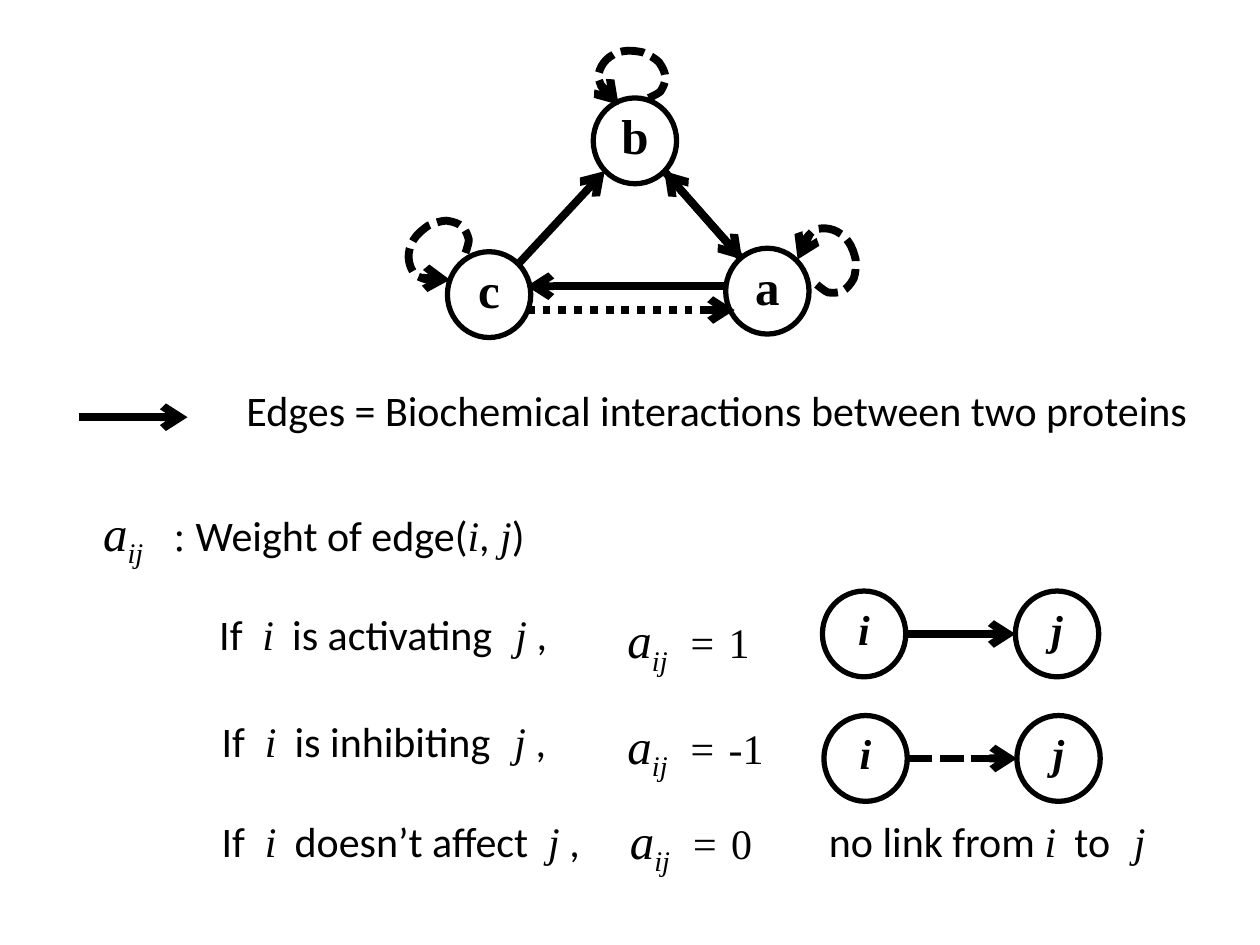
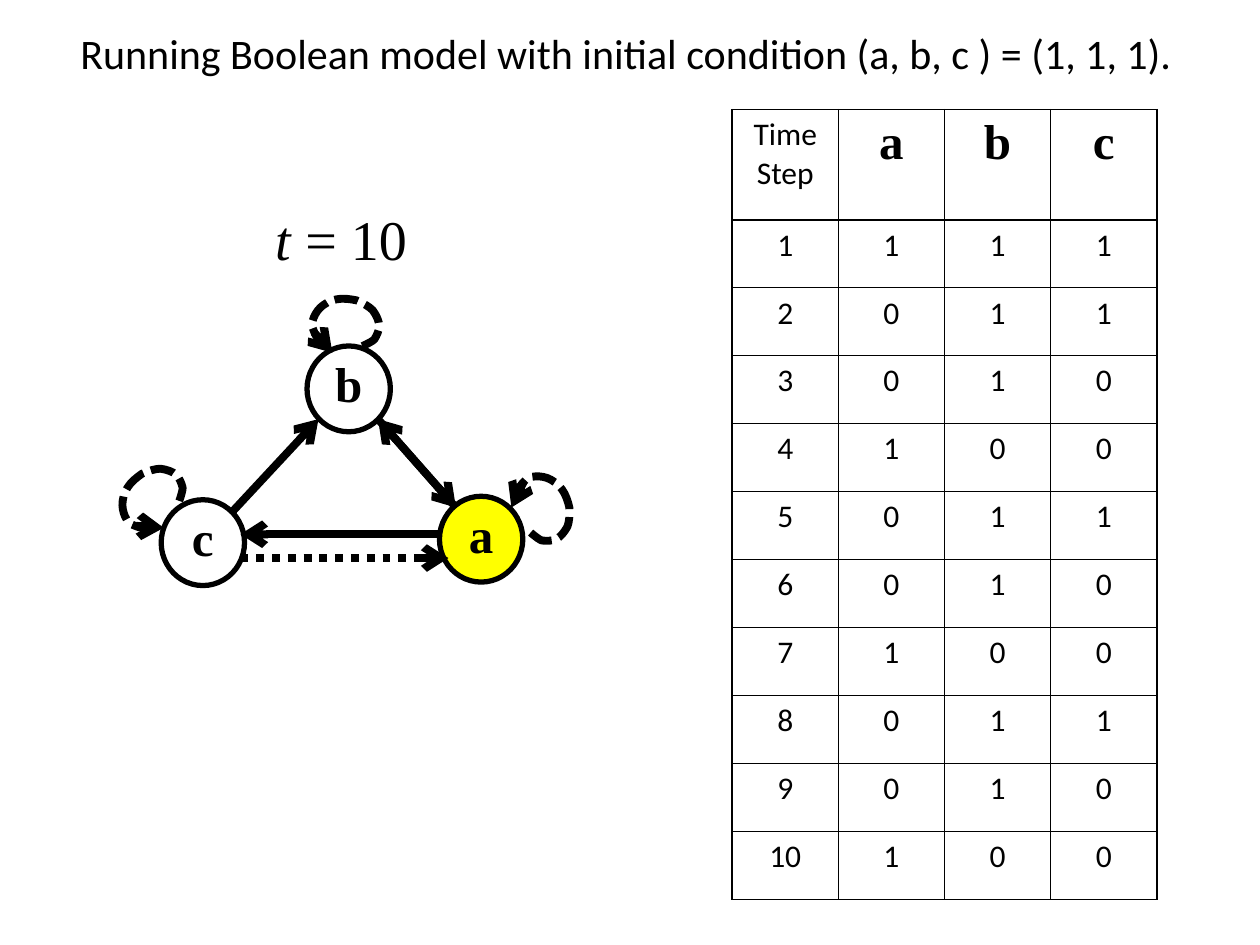
"""Build two slides on a three-protein Boolean network: edge weights and a model run."""
from dataclasses import dataclass
from typing import NamedTuple, Optional

import pptx
import pptx.dml.color
import pptx.enum.dml
import pptx.enum.shapes
import pptx.enum.text
import pptx.oxml
import pptx.oxml.ns
import pptx.util

Cm = pptx.util.Cm
Pt = pptx.util.Pt
Dash = pptx.enum.dml.MSO_LINE
qn = pptx.oxml.ns.qn


@dataclass(frozen=True)
class Theme:
    ink: str = "000000"
    active: str = "FFFF00"
    sans: str = "Calibri"
    serif: str = "Times New Roman"
    cell: int = 18
    body: int = 24
    symbol: int = 28
    clock: int = 32
    node_line: float = 3
    edge_line: float = 4.5
    grid_line: float = 1


THEME = Theme()


class Run(NamedTuple):
    text: str
    serif: bool = False
    italic: bool = False
    size: int = THEME.body
    bold: bool = False
    sub: bool = False


class Node(NamedTuple):
    label: str
    x: float
    y: float


class Edge(NamedTuple):
    x1: float
    y1: float
    x2: float
    y2: float
    dash: Optional[Dash] = None


class Loop(NamedTuple):
    x: float
    y: float
    angle: float


class Case(NamedTuple):
    verb: str
    value: str
    x: float
    y: float
    j_tab: float
    weight_x: float
    weight_y: float


class Pair(NamedTuple):
    x: float
    y: float
    dash: Optional[Dash] = None


NODE_W, NODE_H = 1.68, 1.73
NODES = [Node("a", 15.47, 5.87), Node("b", 12.8, 2.84), Node("c", 9.86, 5.94)]
EDGES = [
    Edge(14.66, 5.77, 10.62, 5.77),
    Edge(14.96, 5.23, 13.39, 3.45),
    Edge(13.39, 3.45, 14.96, 5.23),
    Edge(10.62, 6.25, 14.81, 6.25, Dash.ROUND_DOT),
    Edge(10.44, 5.33, 12.19, 3.45),
    Edge(16.26, 4.85, 16.08, 5.23),
    Edge(12.19, 1.8, 12.47, 2.11),
    Edge(8.64, 5.61, 9.07, 5.64),
]
LOOPS = [Loop(16.75, 5.22, 64.6), Loop(12.73, 1.5, 0), Loop(8.8, 5.02, 313.4)]
LOOP_W, LOOP_H = 1.37, 0.99
LOOP_START = (0.33, 0.97)
LOOP_CURVES = [
    [(0.25, 0.91), (0.18, 0.86), (0.13, 0.81)],
    [(0.08, 0.76), (0.05, 0.66), (0.03, 0.61)],
    [(0.03, 0.53), (0, 0.51), (0.03, 0.46)],
    [(0.05, 0.38), (0.1, 0.28), (0.18, 0.2)],
    [(0.25, 0.13), (0.38, 0.05), (0.51, 0.03)],
    [(0.64, 0), (0.81, 0.03), (0.91, 0.05)],
    [(1.04, 0.1), (1.17, 0.18), (1.24, 0.25)],
    [(1.32, 0.36), (1.37, 0.48), (1.37, 0.56)],
    [(1.37, 0.66), (1.32, 0.76), (1.27, 0.84)],
    [(1.19, 0.91), (0.99, 0.99), (0.99, 0.99)],
]
CASES = [
    Case("is activating", "1", 4.17, 12.14, 5.97, 12.4, 12.17),
    Case("is inhibiting", "-1", 4.22, 14.3, 5.9, 12.4, 14.3),
    Case("doesn’t affect", "0", 4.22, 16.31, 6.58, 12.45, 16.21),
]
PAIRS = [Pair(17.42, 12.78), Pair(17.45, 15.29, Dash.SQUARE_DOT)]
PAIR_GAP = 3.89
STATES = ["111"] + ["011", "010", "100"] * 3


def rgb(value: str) -> pptx.dml.color.RGBColor:
    return pptx.dml.color.RGBColor.from_string(value)


def style_run(r, run: Run) -> None:
    font = r.font
    font.name = THEME.serif if run.serif else THEME.sans
    font.size = Pt(run.size)
    font.bold = run.bold
    font.italic = run.italic
    font.color.rgb = rgb(THEME.ink)
    if run.sub:
        r._r.get_or_add_rPr().set("baseline", "-25000")


def style_line(line, width: float, dash: Optional[Dash] = None) -> None:
    line.color.rgb = rgb(THEME.ink)
    line.width = Pt(width)
    if dash is not None:
        line.dash_style = dash


def math(text: str, **options) -> Run:
    return Run(text, serif=True, italic=True, **options)


def add_text(s, x: float, y: float, w: float, runs: list[Run], tabs: tuple = ()) -> None:
    sp = s.shapes.add_textbox(Cm(x), Cm(y), Cm(w), Cm(1.27))
    tf = sp.text_frame
    tf.word_wrap = True
    p = tf.paragraphs[0]
    if tabs:
        stops = pptx.oxml.ns.nsdecls("a")
        tab_list = pptx.oxml.parse_xml(f"<a:tabLst {stops}/>")
        for stop in tabs:
            tab = tab_list.makeelement(qn("a:tab"), {"pos": str(Cm(stop)), "algn": "l"})
            tab_list.append(tab)
        p._p.get_or_add_pPr().append(tab_list)
    for run in runs:
        r = p.add_run()
        r.text = run.text
        style_run(r, run)


def add_node(s, node: Node, run: Run, fill: Optional[str] = None) -> None:
    sp = s.shapes.add_shape(
        pptx.enum.shapes.MSO_SHAPE.OVAL,
        Cm(node.x - NODE_W / 2), Cm(node.y - NODE_H / 2), Cm(NODE_W), Cm(NODE_H))
    sp.shadow.inherit = False
    if fill:
        sp.fill.solid()
        sp.fill.fore_color.rgb = rgb(fill)
    else:
        sp.fill.background()
    style_line(sp.line, THEME.node_line)
    tf = sp.text_frame
    tf.margin_left = tf.margin_right = tf.margin_top = 0
    tf.margin_bottom = Cm(0.23)
    tf.word_wrap = False
    tf.vertical_anchor = pptx.enum.text.MSO_ANCHOR.MIDDLE
    tf.text = node.label
    p = tf.paragraphs[0]
    p.alignment = pptx.enum.text.PP_ALIGN.CENTER
    style_run(p.runs[0], run)


def add_edge(s, edge: Edge) -> None:
    sp = s.shapes.add_connector(
        pptx.enum.shapes.MSO_CONNECTOR.STRAIGHT,
        Cm(edge.x1), Cm(edge.y1), Cm(edge.x2), Cm(edge.y2))
    style_line(sp.line, THEME.edge_line, edge.dash)
    ln = sp.line._get_or_add_ln()
    ln.append(ln.makeelement(qn("a:tailEnd"), {"type": "arrow"}))
    props = sp._element.spPr
    props.append(props.makeelement(qn("a:effectLst"), {}))


def add_loop(s, loop: Loop) -> None:
    left, top = loop.x - LOOP_W / 2, loop.y - LOOP_H / 2

    def place(point: tuple) -> tuple:
        return Cm(left + point[0]), Cm(top + point[1])

    builder = s.shapes.build_freeform(*place(LOOP_START))
    builder.add_line_segments(
        [place(point) for curve in LOOP_CURVES for point in curve], close=False)
    sp = builder.convert_to_shape()
    segments = list(sp._element.iter(qn("a:lnTo")))
    for i in range(0, len(segments), 3):
        outline = segments[i].getparent()
        curve = outline.makeelement(qn("a:cubicBezTo"), {})
        outline.insert(outline.index(segments[i]), curve)
        for segment in segments[i:i + 3]:
            curve.append(segment[0])
            outline.remove(segment)
    sp.rotation = loop.angle
    sp.shadow.inherit = False
    sp.fill.background()
    style_line(sp.line, THEME.edge_line, Dash.SQUARE_DOT)


def add_network(s, dx: float = 0, dy: float = 0, active: str = "") -> None:
    for node in NODES:
        label = Run(node.label, serif=True, size=THEME.symbol, bold=True)
        fill = THEME.active if node.label in active else None
        add_node(s, Node(node.label, node.x + dx, node.y + dy), label, fill)
    for loop in LOOPS:
        add_loop(s, Loop(loop.x + dx, loop.y + dy, loop.angle))
    for edge in EDGES:
        add_edge(s, Edge(edge.x1 + dx, edge.y1 + dy, edge.x2 + dx, edge.y2 + dy, edge.dash))


def add_state_table(s) -> None:
    rows = [["Time Step", "a", "b", "c"]]
    rows += [[str(step), *state] for step, state in enumerate(STATES, 1)]
    col_w, head_h, row_h = 2.14, 2.22, 1.37
    table = s.shapes.add_table(
        len(rows), 4, Cm(14.76), Cm(2.21), Cm(4 * col_w),
        Cm(head_h + row_h * len(STATES))).table
    table.first_row = table.horz_banding = False
    for column in table.columns:
        column.width = Cm(col_w)
    for i, values in enumerate(rows):
        table.rows[i].height = Cm(row_h if i else head_h)
        for j, value in enumerate(values):
            cell = table.cell(i, j)
            add_borders(cell)
            cell.fill.background()
            cell.text = value
            p = cell.text_frame.paragraphs[0]
            p.alignment = pptx.enum.text.PP_ALIGN.CENTER
            symbol = i == 0 and j > 0
            size = THEME.symbol if symbol else THEME.cell
            style_run(p.runs[0], Run(value, serif=symbol, size=size, bold=symbol))


def add_borders(cell) -> None:
    props = cell._tc.get_or_add_tcPr()
    for side in "LRTB":
        props.append(pptx.oxml.parse_xml(
            f'<a:ln{side} {pptx.oxml.ns.nsdecls("a")} w="{Pt(THEME.grid_line)}">'
            f'<a:solidFill><a:srgbClr val="{THEME.ink}"/></a:solidFill></a:ln{side}>'))


def build_weights_slide(s) -> None:
    add_network(s)
    add_edge(s, Edge(1.6, 8.41, 3.78, 8.41))
    add_text(s, 4.72, 7.62, 20,
             [Run("Edges = Biochemical interactions between two proteins")])
    weight = [math("a", size=THEME.symbol), math("ij", size=THEME.symbol, sub=True)]
    add_text(s, 1.83, 10.01, 9.6, weight + [
        Run("\t: ", serif=True), Run("Weight of edge("), math("i"), Run(","),
        math(" j"), Run(")")], (1.42,))
    for case in CASES:
        add_text(s, case.x, case.y, 8, [
            Run("If\t"), math("i"), Run(f"\t{case.verb}\t"), math("j"), Run(" ,")],
            (0.87, 1.47, case.j_tab))
        add_text(s, case.weight_x, case.weight_y, 4.4, weight + [
            math("\t="), math(" ", size=THEME.symbol), Run(case.value, serif=True)],
            (1.22,))
    add_text(s, 16.46, 16.31, 7.2, [
        Run("no link from "), math("i"), Run("\tto\t"), math("j")], (4.95, 6.15))
    for pair in PAIRS:
        ends = Node("i", pair.x, pair.y), Node("j", pair.x + PAIR_GAP, pair.y)
        for node in ends:
            add_node(s, node, math(node.label, bold=True))
        add_edge(s, Edge(pair.x + 0.86, pair.y, pair.x + 3.05, pair.y, pair.dash))


def build_run_slide(s) -> None:
    add_text(s, 1.37, 0.43, 23.95, [
        Run("Running Boolean model with initial condition (a, b, c ) = (1, 1, 1).")])
    add_text(s, 5.31, 3.99, 3.6, [
        math("t", size=THEME.clock), Run(" = 10", serif=True, size=THEME.clock)])
    add_network(s, dx=-5.77, dy=5, active="a")
    add_state_table(s)


def main() -> None:
    prs = pptx.Presentation()
    prs.slide_width, prs.slide_height = Cm(25.4), Cm(19.05)
    for build in (build_weights_slide, build_run_slide):
        build(prs.slides.add_slide(prs.slide_layouts[6]))
    prs.save("out.pptx")


if __name__ == "__main__":
    main()
